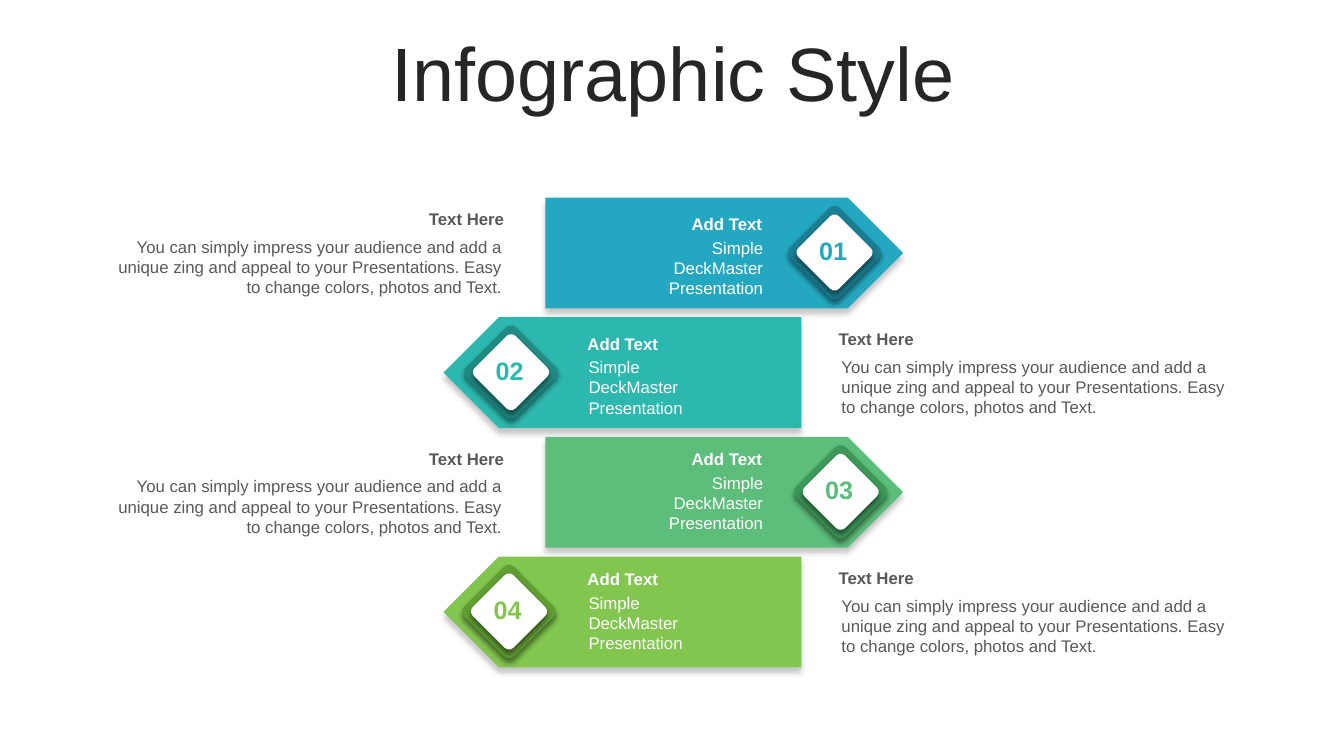
from pptx import Presentation
from pptx.dml.color import RGBColor
from pptx.enum.shapes import MSO_SHAPE as Preset
from pptx.enum.text import MSO_ANCHOR as Anchor, MSO_AUTO_SIZE as AutoSize, PP_ALIGN as Align
from pptx.oxml import parse_xml
from pptx.oxml.ns import nsdecls, qn
from pptx.util import Inches, Pt

# The grid is made of square cells, 0.1 inch a side
CELL = Inches(0.1)
COLS, ROWS = 133.33, 75
FIRST_ROW, ROW_PITCH = 19.6, 11.87
BANNER_COLS, BANNER_ROWS = 35.5, 11
BADGE, BADGE_FACE = 7, 5.7

COLORS = {
    "title": "262626", "text": "595959", "white": "FFFFFF", "shadow": "000000",
    "blue": "24A8C2", "blue_dark": "1B7E92",
    "teal": "2CB8AE", "teal_dark": "218A83",
    "green": "5CBE7A", "green_dark": "3C9758",
    "lime": "82C650", "lime_dark": "609D33",
}

# Number, colour, badge column, row offset of the banner heading
STEPS = [
    ("01", "blue", 79.3, 1.1),
    ("02", "teal", 47.2, 1.1),
    ("03", "green", 79.9, 0.7),
    ("04", "lime", 47, 0.7),
]

# Columns of banner, banner text and side text for each pointing direction
RIGHT = {"banner": 54.1, "label": 61.3, "heading": 9.8, "body": 10.2, "align": Align.RIGHT}
LEFT = {"banner": 44, "label": 57.3, "heading": 82.2, "body": 82.5, "align": Align.LEFT}

DESCRIPTION = ("You can simply impress your audience and add a unique zing and appeal "
               "to your Presentations. Easy to change colors, photos and Text.")


def grid(*cells):
    return [round(cell * CELL) for cell in cells]


def add_text(slide, text, area, size=12, color="text", bold=False, align=Align.LEFT,
             anchor=Anchor.TOP, fit=AutoSize.SHAPE_TO_FIT_TEXT, line_spacing=None):
    frame = slide.shapes.add_textbox(*grid(*area)).text_frame
    frame.word_wrap = True
    frame.auto_size = fit
    frame.vertical_anchor = anchor
    paragraph = frame.paragraphs[0]
    paragraph.alignment = align
    paragraph.line_spacing = line_spacing
    run = paragraph.add_run()
    run.text = text
    run.font.name = "Arial"
    run.font.size = Pt(size)
    run.font.bold = bold
    run.font.color.rgb = RGBColor.from_string(COLORS[color])


def add_block(slide, preset, area, color, rotation=0, opacity=22, distance=4):
    block = slide.shapes.add_shape(preset, *grid(*area))
    block.rotation = rotation
    block.fill.solid()
    block.fill.fore_color.rgb = RGBColor.from_string(COLORS[color])
    block.line.fill.background()
    # Soft shadow falling straight down
    block.shadow.inherit = False
    block._element.spPr.find(qn("a:effectLst")).append(parse_xml(
        f'<a:outerShdw {nsdecls("a")} blurRad="{Pt(4)}" dist="{Pt(distance)}" '
        f'dir="5400000" algn="t" rotWithShape="0"><a:srgbClr val="{COLORS["shadow"]}">'
        f'<a:alpha val="{opacity * 1000}"/></a:srgbClr></a:outerShdw>'))
    return block


def add_badge(slide, number, color, col, row):
    inset = (BADGE - BADGE_FACE) / 2
    for offset, side, fill in ((0, BADGE, color + "_dark"), (inset, BADGE_FACE, "white")):
        diamond = add_block(slide, Preset.ROUNDED_RECTANGLE,
                            (col + offset, row + offset, side, side), fill,
                            rotation=315, opacity=43, distance=3)
        diamond.adjustments[0] = 0.107
    add_text(slide, number, (col + 0.6, row + 1.3, 5.5, 4), size=18,
             color=color, bold=True, align=Align.CENTER)


def add_step(slide, index, number, color, badge_col, label_offset):
    side = LEFT if index % 2 else RIGHT
    row = FIRST_ROW + index * ROW_PITCH
    label_row = row + label_offset
    align = side["align"]

    # Banner with its numbered badge
    add_block(slide, Preset.PENTAGON, (side["banner"], row, BANNER_COLS, BANNER_ROWS),
              color, rotation=180 if side is LEFT else 0)
    add_badge(slide, number, color, badge_col, row + 1.95)

    # Label on the banner
    add_text(slide, "Add Text", (side["label"], label_row, 15.3, 3),
             color="white", bold=True, align=align)
    add_text(slide, "Simple DeckMaster Presentation",
             (side["label"] + 0.1, label_row + 2.35, 15.3, 7.1), color="white", align=align)

    # Description beside the banner
    add_text(slide, "Text Here", (side["heading"], row + 0.65, 41.2, 3), bold=True, align=align)
    add_text(slide, DESCRIPTION, (side["body"], row + 3.4, 40.6, 7.1), align=align)


def main():
    deck = Presentation()
    deck.slide_width, deck.slide_height = grid(COLS, ROWS)
    slide = deck.slides.add_slide(deck.slide_layouts[6])
    add_text(slide, "Infographic Style", (3.5, 3.7, 126.6, 7.9), size=54, color="title",
             align=Align.CENTER, anchor=Anchor.MIDDLE, fit=AutoSize.NONE, line_spacing=0.9)
    for index, step in enumerate(STEPS):
        add_step(slide, index, *step)
    deck.save("out.pptx")


if __name__ == "__main__":
    main()
